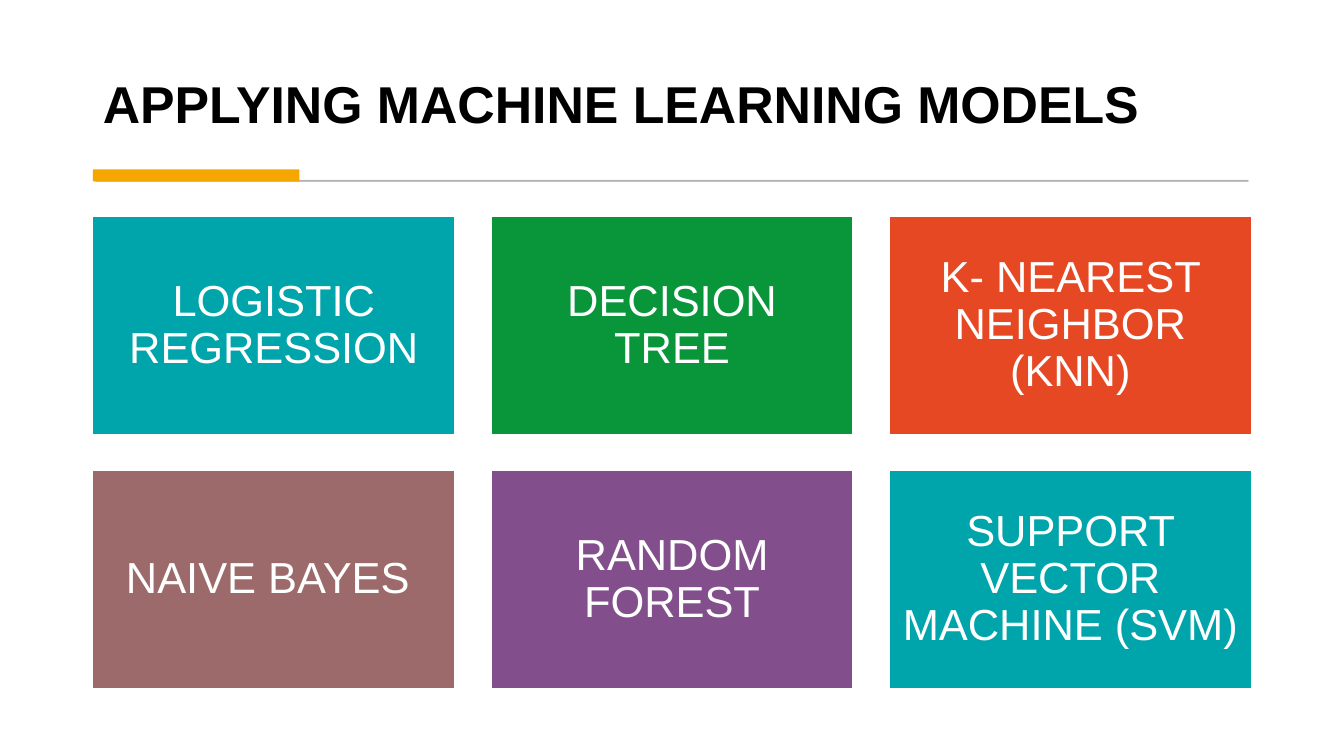
from lxml import etree
from pptx import Presentation
from pptx import util as u
from pptx.dml.color import RGBColor
from pptx.enum import shapes, text
from pptx.oxml.ns import qn

MODELS = [
    ("LOGISTIC REGRESSION", "00A5AB"),
    ("DECISION TREE", "09963B"),
    ("K- NEAREST NEIGHBOR (KNN)", "E64823"),
    ("NAIVE BAYES ", "9C6A6A"),
    ("RANDOM FOREST", "824F8C"),
    ("SUPPORT VECTOR MACHINE (SVM)", "00A5AB"),
]
COLUMNS = 3
LEFT, TOP = 0.92, 2.15
TILE_WIDTH, TILE_HEIGHT = 3.59, 2.16
GAP = 0.36


def color(hex_string):
    return RGBColor.from_string(hex_string)


def set_opacity(fill, percent):
    """Make a solid fill, or the fill of a line, partly transparent."""
    rgb = fill._xPr.find(".//" + qn("a:srgbClr"))
    etree.SubElement(rgb, qn("a:alpha"), val=str(percent * 1000))


class ModelSlide:
    font = "Arial"
    black, white, gray, accent = "000000", "FFFFFF", "595959", "F5A700"

    def __init__(self, presentation):
        self.slide = presentation.slides.add_slide(presentation.slide_layouts[5])
        self.slide.background.fill.solid()
        self.slide.background.fill.fore_color.rgb = color(self.white)

    def format_text(self, text_frame, size, hex_color, align, bold=False):
        text_frame.word_wrap = True
        paragraph = text_frame.paragraphs[0]
        paragraph.alignment = align
        paragraph.line_spacing = 0.9
        for run in paragraph.runs:
            run.font.name = self.font
            run.font.size = u.Pt(size)
            run.font.bold = bold
            run.font.color.rgb = color(hex_color)

    def title(self, wording, left, top, width, height):
        title = self.slide.shapes.title
        title.left, title.top = u.Inches(left), u.Inches(top)
        title.width, title.height = u.Inches(width), u.Inches(height)
        frame = title.text_frame
        frame.text = wording
        frame.auto_size = text.MSO_AUTO_SIZE.NONE
        frame.vertical_anchor = text.MSO_ANCHOR.BOTTOM
        self.format_text(frame, 37, self.black, text.PP_ALIGN.LEFT, bold=True)

    def rectangle(self, left, top, width, height, fill):
        shape = self.slide.shapes.add_shape(
            shapes.MSO_SHAPE.RECTANGLE,
            u.Inches(left), u.Inches(top), u.Inches(width), u.Inches(height))
        shape.shadow.inherit = False
        shape.fill.solid()
        shape.fill.fore_color.rgb = color(fill)
        shape.line.fill.background()
        return shape

    def outline(self, shape, hex_color, width):
        shape.line.color.rgb = color(hex_color)
        shape.line.width = u.Pt(width)

    def rule(self, left, top, width, height):
        shape = self.rectangle(left, top, width, height, self.gray)
        self.outline(shape, self.gray, 0.75)
        set_opacity(shape.fill, 30)
        set_opacity(shape.line.fill, 30)

    def tile(self, wording, left, top, fill):
        shape = self.rectangle(left, top, TILE_WIDTH, TILE_HEIGHT, fill)
        self.outline(shape, self.white, 1)
        frame = shape.text_frame
        frame.text = wording
        frame.vertical_anchor = text.MSO_ANCHOR.MIDDLE
        frame.margin_left = frame.margin_right = u.Inches(0.13)
        frame.margin_top = frame.margin_bottom = u.Inches(0.13)
        self.format_text(frame, 31, self.white, text.PP_ALIGN.CENTER)


def main():
    presentation = Presentation()
    presentation.slide_width = u.Inches(13.33)
    presentation.slide_height = u.Inches(7.5)

    page = ModelSlide(presentation)
    page.title("APPLYING MACHINE LEARNING MODELS", LEFT, 0.28, 11.49, 1.11)
    page.rule(0.95, 1.79, 11.43, 0.01)
    page.rectangle(LEFT, 1.68, 2.05, 0.12, page.accent)
    for index, (model, fill) in enumerate(MODELS):
        row, column = divmod(index, COLUMNS)
        page.tile(model, LEFT + column * (TILE_WIDTH + GAP),
                  TOP + row * (TILE_HEIGHT + GAP), fill)

    presentation.save("out.pptx")


if __name__ == "__main__":
    main()
